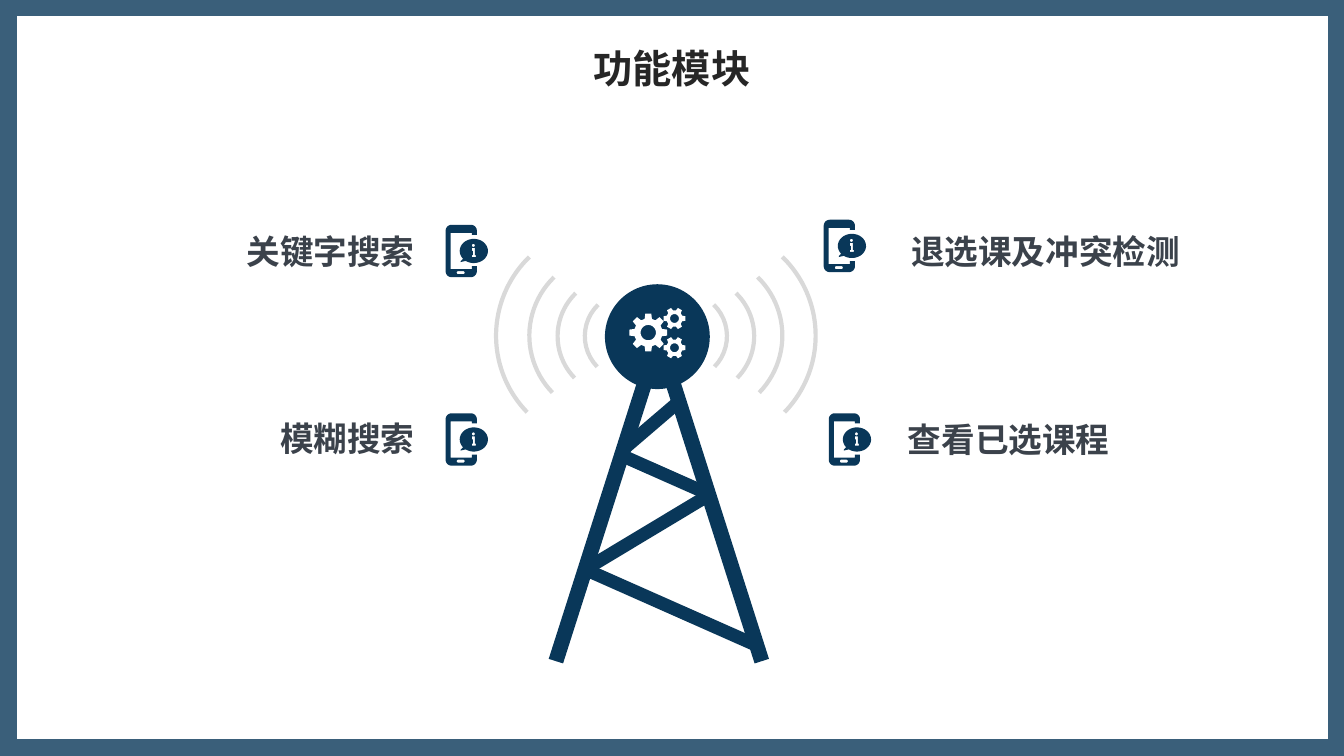
from dataclasses import dataclass
from math import cos, radians, sin

from lxml import etree
from pptx import Presentation
from pptx.dml.color import RGBColor
from pptx.enum.shapes import MSO_SHAPE
from pptx.enum.text import MSO_ANCHOR, MSO_AUTO_SIZE, PP_ALIGN
from pptx.oxml.ns import qn
from pptx.util import Pt

PX = 9144
RECTANGLE, OVAL, ARC = MSO_SHAPE.RECTANGLE, MSO_SHAPE.OVAL, MSO_SHAPE.ARC
CENTER, RIGHT = PP_ALIGN.CENTER, PP_ALIGN.RIGHT
MIDDLE, TOP = MSO_ANCHOR.MIDDLE, MSO_ANCHOR.TOP
NO_AUTOFIT = MSO_AUTO_SIZE.NONE


@dataclass(frozen=True)
class Theme:
    """Colours, font and sizes of the slide."""
    navy: RGBColor = RGBColor(0x09, 0x37, 0x59)
    white: RGBColor = RGBColor(0xFF, 0xFF, 0xFF)
    wave: RGBColor = RGBColor(0xD9, 0xD9, 0xD9)
    title: RGBColor = RGBColor(0x26, 0x26, 0x26)
    label: RGBColor = RGBColor(0x3B, 0x42, 0x4B)
    font: str = "Arial"
    title_size: int = 28
    label_size: int = 24
    wave_width: int = 3


THEME = Theme()
SLIDE = (0, 0, 1333, 750)
PANEL = (17, 16, 1300, 717)
TITLE = (578, 39, 177, 57)
TOWER = (492, 224, 317, 450)
MAST_BARS = [
    (97, 142, 15, 297, 17.7),
    (211, 142, 15, 297, 342.3),
    (148, 160, 13, 75, 49.4),
    (159, 199, 13, 94, 293.9),
    (145, 229, 13, 148, 59),
    (168, 289, 13, 180, 293.9),
]
WAVES = [(142, 87), (137, 119), (122, 162), (99, 218)]
GEARS = [(132, 87, 38, 8), (166, 81, 22, 6), (166, 110, 22, 6)]
FEATURES = [
    ("退选课及冲突检测", (889, 224, 296, 50), (-72, -6), CENTER, 1.0),
    ("查看已选课程", (878, 411, 245, 50), (-56, -1), CENTER, 1.0),
    ("关键字搜索", (176, 216, 245, 54), (266, 7), RIGHT, 1.2),
    ("模糊搜索", (176, 402, 245, 54), (266, 8), RIGHT, 1.2),
]


def to_emu(*lengths):
    """Turn px lengths into EMU."""
    return [round(length * PX) for length in lengths]


def paint(shape, color):
    """Give a shape a plain fill without line or shadow."""
    shape.shadow.inherit = False
    shape.fill.solid()
    shape.fill.fore_color.rgb = color
    shape.line.fill.background()
    return shape


def add_solid(page, preset, box, color, rotation=0):
    """Add a plain filled preset shape."""
    shape = paint(page.shapes.add_shape(preset, *to_emu(*box)), color)
    shape.rotation = rotation
    return shape


def add_outline(page, origin, contours, color):
    """Add one filled freeform made of closed contours."""
    left, top = origin
    outlines = [[to_emu(left + x, top + y) for x, y in contour] for contour in contours]
    builder = page.shapes.build_freeform(*outlines[0][0], scale=1.0)
    for index, points in enumerate(outlines):
        if index:
            builder.move_to(*points[0])
        builder.add_line_segments(points[1:], close=True)
    return paint(builder.convert_to_shape(), color)


def curve(left, top, width, height, start=0, sweep=360):
    """Return points along an ellipse, clockwise from the start angle."""
    steps = max(6, sweep // 10)
    angles = [radians(start + sweep * step / steps) for step in range(steps + 1)]
    return [(left + width / 2 * (1 + cos(angle)), top + height / 2 * (1 + sin(angle)))
            for angle in angles]


def gear(left, top, size, teeth):
    """Return the toothed rim and the hub hole of a gear."""
    pitch, radius = 360 / teeth, size / 2
    profile = [(-0.33, 0.74), (-0.2, 1), (0.2, 1), (0.33, 0.74)]
    rim = []
    for tooth in range(teeth):
        for shift, reach in profile:
            angle = radians((tooth + shift) * pitch)
            rim.append((left + radius * (1 + reach * cos(angle)),
                        top + radius * (1 + reach * sin(angle))))
    hub = size * 0.4
    inset = (size - hub) / 2
    return [rim, curve(left + inset, top + inset, hub, hub)]


def write(shape, text, size, color, align, anchor, spacing=1.0):
    """Write one bold paragraph into a shape."""
    frame = shape.text_frame
    frame.text = text
    frame.auto_size = NO_AUTOFIT
    frame.vertical_anchor = anchor
    para = frame.paragraphs[0]
    para.alignment = align
    para.line_spacing = spacing
    para.font.name = THEME.font
    para.font.size = Pt(size)
    para.font.bold = True
    para.font.color.rgb = color
    return frame


def draw_frame(page, box, panel):
    """Draw the translucent border and the white panel."""
    border = add_solid(page, RECTANGLE, box, THEME.navy)
    color = border.fill._xPr.find(qn("a:solidFill"))[0]
    etree.SubElement(color, qn("a:alpha")).set("val", "80000")
    add_solid(page, RECTANGLE, panel, THEME.white)


def draw_title(page, box, text):
    """Place the title placeholder above the panel."""
    title = page.shapes.title
    title.left, title.top, title.width, title.height = to_emu(*box)
    frame = write(title, text, THEME.title_size, THEME.title, CENTER, MIDDLE)
    frame.word_wrap = False
    page.shapes._spTree.append(title._element)


def draw_wave(page, box, rotation):
    """Draw one signal arc."""
    wave = page.shapes.add_shape(ARC, *to_emu(*box))
    wave.shadow.inherit = False
    wave.fill.background()
    wave.line.color.rgb = THEME.wave
    wave.line.width = Pt(THEME.wave_width)
    wave.rotation = rotation


def draw_tower(page, box):
    """Draw the mast, its signal waves and the gears."""
    left, top, width, _ = box
    add_solid(page, OVAL, (left + 108, top + 58, 104, 104), THEME.navy)
    for x, y, thickness, length, rotation in MAST_BARS:
        add_solid(page, RECTANGLE, (left + x, top + y, thickness, length), THEME.navy, rotation)
    for x, size in WAVES:
        y = top + (219 - size) // 2
        draw_wave(page, (left + x, y, size, size), 44.2)
        draw_wave(page, (left + width - x - size, y, size, size), 225.8)
    contours = [contour for item in GEARS for contour in gear(*item)]
    add_outline(page, (left, top), contours, THEME.white)


def draw_phone(page, origin):
    """Draw a phone with an information bubble."""
    body = (curve(0, 0, 12, 12, 180, 90) + curve(19, 0, 12, 12, 270, 90)
            + [(31, 10), (26, 10), (26, 8), (5, 8), (5, 44), (26, 44), (26, 41), (31, 41)]
            + curve(19, 40, 12, 12, 0, 90) + curve(0, 40, 12, 12, 90, 90))
    button = curve(11, 46, 3, 3, 90, 180) + curve(16, 46, 3, 3, 270, 180)
    bubble = curve(14, 14, 28, 24, 140, 345) + [(15, 37), (15, 36)]
    dot = curve(26, 19, 3, 3)
    stem = [(26, 23), (26, 26), (27, 26), (27, 30), (26, 30),
            (26, 32), (30, 32), (30, 30), (29, 30), (29, 23)]
    add_outline(page, origin, [body, button, bubble, dot, stem], THEME.navy)


def draw_feature(page, box, text, icon_offset, align, spacing):
    """Draw a feature label with its phone icon."""
    draw_phone(page, (box[0] + icon_offset[0], box[1] + icon_offset[1]))
    label = page.shapes.add_textbox(*to_emu(*box))
    frame = write(label, text, THEME.label_size, THEME.label, align, TOP, spacing)
    frame.word_wrap = True


def main():
    """Build and save the slide."""
    deck = Presentation()
    deck.slide_width, deck.slide_height = to_emu(*SLIDE[2:])
    page = deck.slides.add_slide(deck.slide_layouts[5])
    draw_frame(page, SLIDE, PANEL)
    draw_tower(page, TOWER)
    for text, box, icon_offset, align, spacing in FEATURES:
        draw_feature(page, box, text, icon_offset, align, spacing)
    draw_title(page, TITLE, "功能模块")
    deck.save("out.pptx")


if __name__ == "__main__":
    main()
